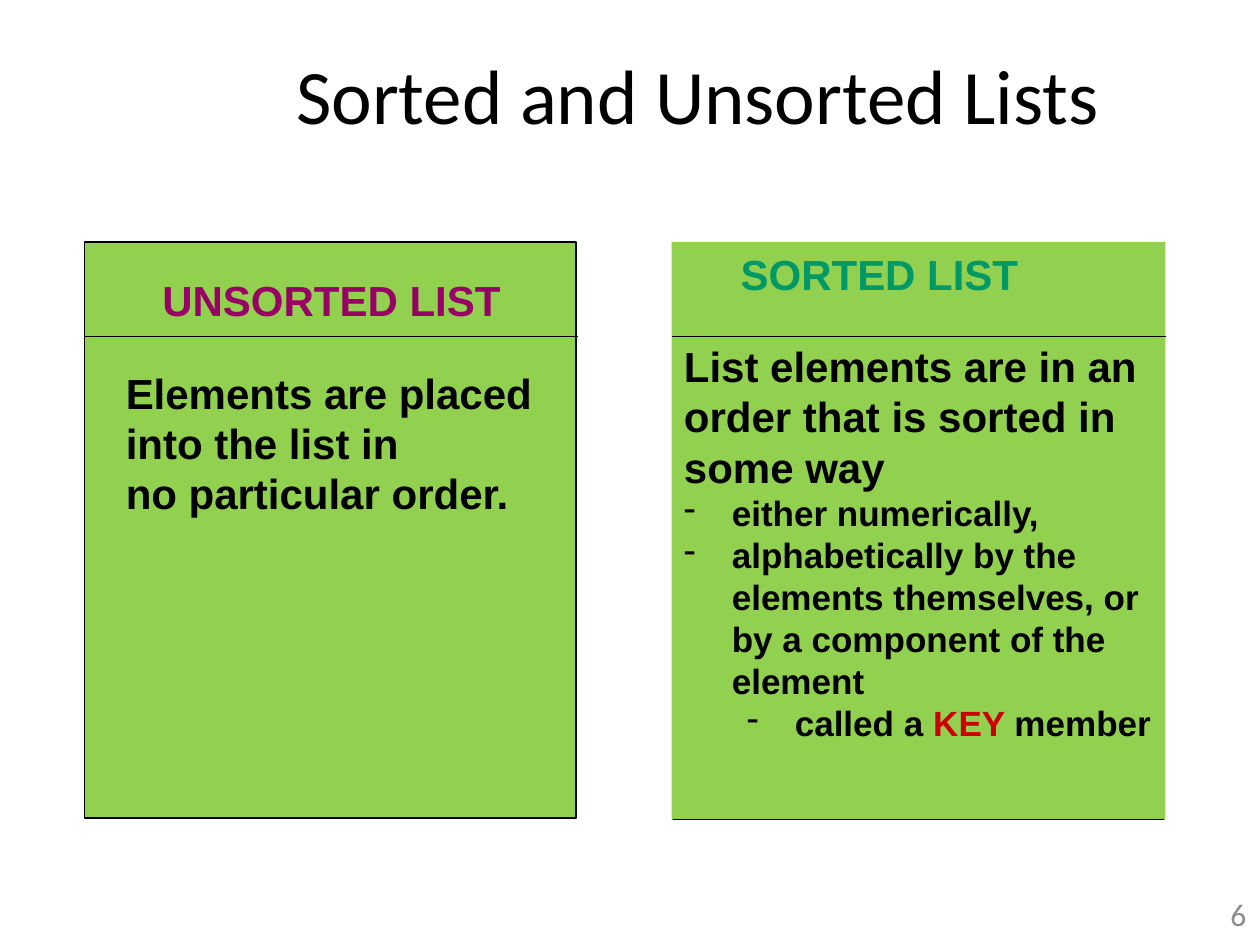
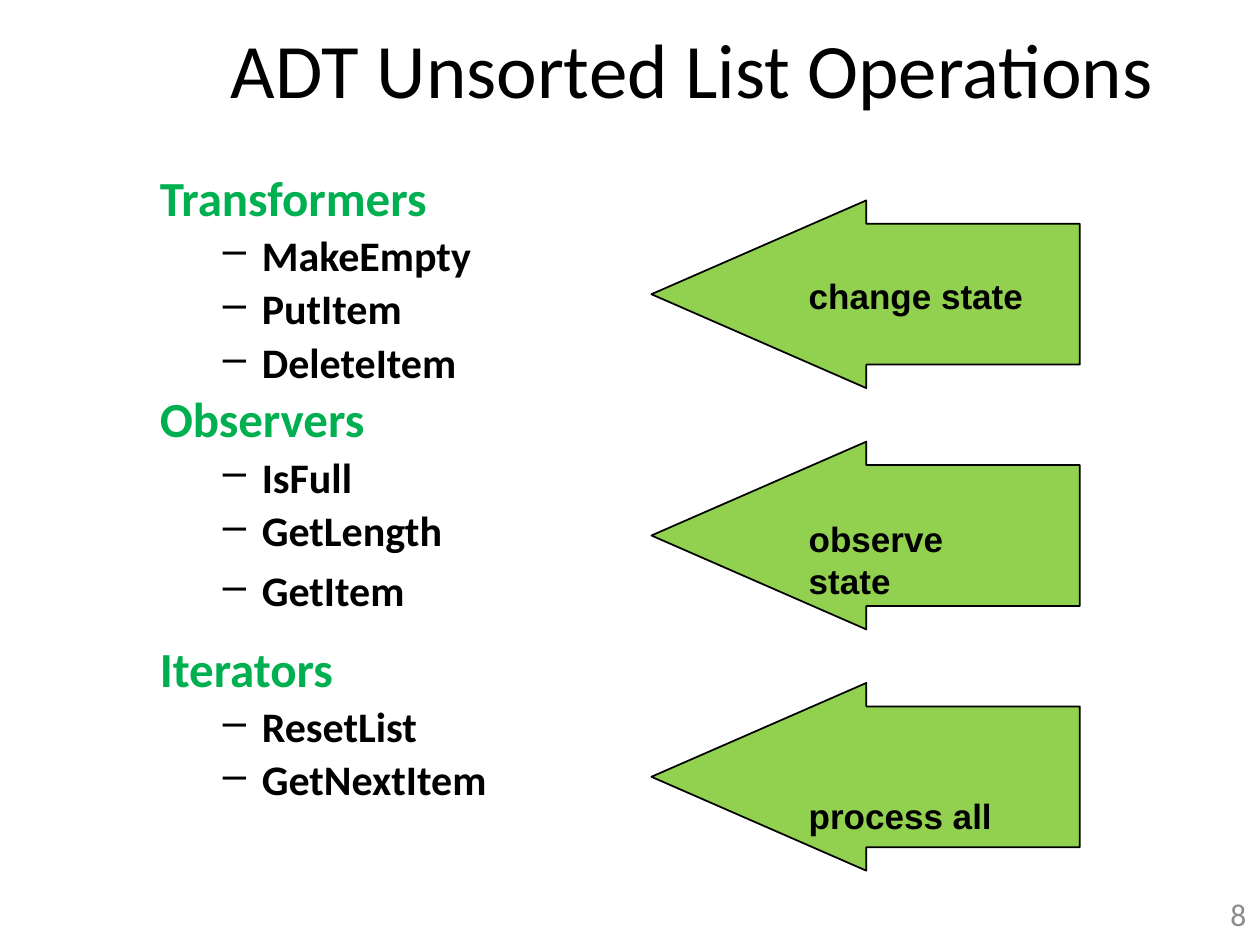
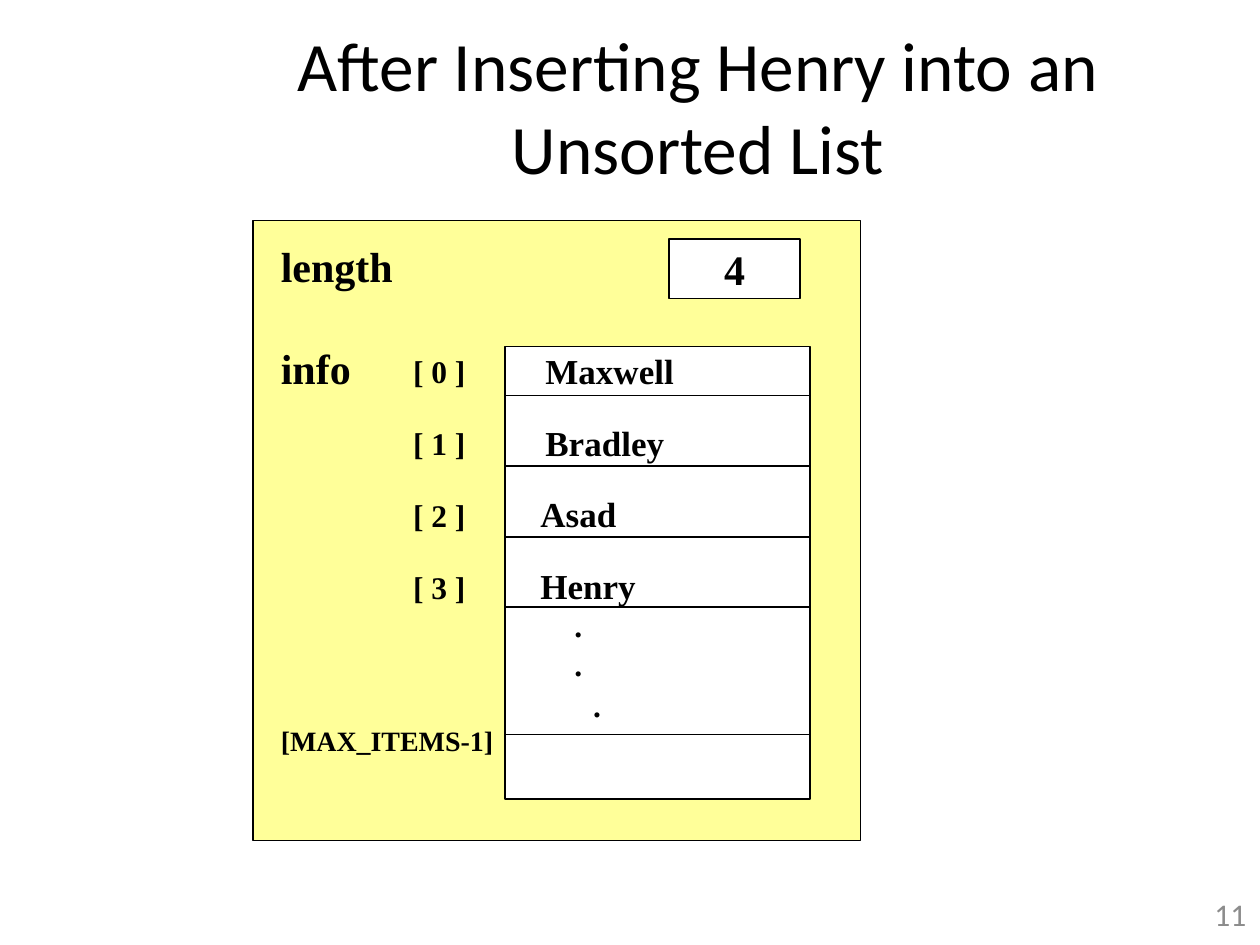
from lxml.etree import SubElement
from pptx import Presentation
from pptx.dml.color import RGBColor
from pptx.enum.shapes import MSO_CONNECTOR, MSO_SHAPE
from pptx.enum.text import MSO_ANCHOR, MSO_AUTO_SIZE, PP_ALIGN
from pptx.oxml.ns import qn
from pptx.util import Inches, Pt

COLOURS = {
    "black": "000000", "white": "FFFFFF", "grey": "8C8C8C",
    "panel": "92D050", "record": "FFFF99", "heading": "00B050",
    "unsorted": "990066", "sorted": "009966", "key": "CC0000",
}


def write(box, lines, font, anchor=MSO_ANCHOR.TOP, wrap=True):
    """Fill a shape with lines, each a list of (text, colour) spans, a size and a layout dict.

    The layout may hold margin, hang and bullet beside paragraph attributes.
    """
    frame = box.text_frame
    frame.word_wrap = wrap
    frame.auto_size = MSO_AUTO_SIZE.NONE
    frame.vertical_anchor = anchor
    for index, (spans, size, layout) in enumerate(lines):
        para = frame.paragraphs[0] if index == 0 else frame.add_paragraph()
        settings = {"alignment": PP_ALIGN.LEFT, **layout}
        margin, hang = settings.pop("margin", 0), settings.pop("hang", 0)
        bullet = settings.pop("bullet", None)
        for name, value in settings.items():
            setattr(para, name, value)
        properties = para._p.get_or_add_pPr()
        properties.set("marL", str(Inches(margin)))
        properties.set("indent", str(Inches(-hang)))
        if bullet:
            SubElement(properties, qn("a:buChar")).set("char", bullet)
        for text, colour in spans:
            span = para.add_run()
            span.text = text
            for name, value in {"size": Pt(size), **font}.items():
                setattr(span.font, name, value)
            span.font.color.rgb = RGBColor.from_string(COLOURS[colour])


def add_box(page, place, fill=None, outline=None, kind=MSO_SHAPE.RECTANGLE):
    """Add a filled shape, or a text box when there is no fill."""
    place = [Inches(length) for length in place]
    if not fill:
        return page.shapes.add_textbox(*place)
    shape = page.shapes.add_shape(kind, *place)
    shape.shadow.inherit = False
    shape.fill.solid()
    shape.fill.fore_color.rgb = RGBColor.from_string(COLOURS[fill])
    if outline:
        shape.line.color.rgb = RGBColor.from_string(COLOURS[outline])
        shape.line.width = Pt(1)
    else:
        shape.line.fill.background()
    return shape


CALIBRI = {"name": "Calibri", "bold": False}
CALIBRI_BOLD = {"name": "Calibri", "bold": True}
ARIAL = {"name": "Arial", "bold": True}
TIMES = {"name": "Times New Roman", "bold": True}
CENTRED = {"alignment": PP_ALIGN.CENTER}

deck = Presentation()
deck.slide_width, deck.slide_height = Inches(10), Inches(7.5)

# Pages with their titles and numbers
pages = []
for title, size, place, number in [
    ("Sorted and Unsorted Lists", 44, (1.5, 0.33, 8.08, 0.83), "6"),
    ("ADT Unsorted List Operations", 44, (1.58, 0.08, 7.83, 0.92), "8"),
    ("After Inserting Henry into an\vUnsorted List", 39.6, (1.5, 0.42, 8.08, 0.83), "11"),
]:
    page = deck.slides.add_slide(deck.slide_layouts[5])
    heading = page.shapes.title
    for name, length in zip(("left", "top", "width", "height"), place):
        setattr(heading, name, Inches(length))
    lines = [([(part, "black")], size, CENTRED) for part in title.split("\v")]
    write(heading, lines, CALIBRI, MSO_ANCHOR.MIDDLE)
    write(add_box(page, (7.91, 7, 2.08, 0.5)),
          [([(number, "grey")], 18, {"alignment": PP_ALIGN.RIGHT})],
          CALIBRI, MSO_ANCHOR.MIDDLE)
    pages.append(page)
lists_page, operations_page, record_page = pages
rules = []

# Unsorted and sorted panels
large = {"line_spacing": Pt(28.8)}
small = {"line_spacing": Pt(24), "hang": 0.38, "bullet": "-"}
after_heading = {**large, "space_before": Pt(24)}
add_box(lists_page, (0.67, 1.92, 3.9, 4.57), "panel", "black")
add_box(lists_page, (5.34, 1.93, 3.9, 4.57), "white", "black")
write(add_box(lists_page, (0.9, 2.13, 3.43, 2.39)), [
    ([("UNSORTED LIST", "unsorted")], 24, {**large, "margin": 0.29}),
    ([("Elements are placed into the list in", "black")], 24, after_heading),
    ([("no particular order.", "black")], 24, large),
], ARIAL)
write(add_box(lists_page, (5.33, 1.92, 3.92, 4.58), "panel"), [
    ([("SORTED LIST", "sorted")], 24, {**large, "margin": 0.45}),
    ([("List elements are in an order that is sorted in", "black")], 24, after_heading),
    ([("some way", "black")], 24, large),
    ([("either numerically,", "black")], 20, {**small, "margin": 0.38}),
    ([("alphabetically by the elements themselves, or by a component of the element",
       "black")], 20, {**small, "margin": 0.38}),
    ([("called a", "black"), (" KEY ", "key"), ("member", "black")], 20,
     {**small, "margin": 0.88}),
], ARIAL)
rules += [(lists_page, left, 2.67, left + 3.92) for left in (0.67, 5.33)]

# Operations by group, with an arrow naming what each group does
groups = {
    "Transformers": ["MakeEmpty", "PutItem", "DeleteItem"],
    "Observers": ["IsFull", "GetLength", "GetItem"],
    "Iterators": ["ResetList", "GetNextItem"],
}
gaps = {"Transformers": 0, "GetItem": 8.5, "Iterators": 16.5}
lines = []
for group, operations in groups.items():
    for name in [group, *operations]:
        layout = {"line_spacing": 0.9, "space_before": Pt(gaps.get(name, 4.7))}
        if name == group:
            lines.append(([(name, "heading")], 28, layout))
        else:
            layout.update(margin=0.81, hang=0.31, bullet="–")
            lines.append(([(name, "black")], 24, layout))
write(add_box(operations_page, (1.17, 1.33, 3.9, 5.33)), lines, CALIBRI_BOLD)

for index, (effect, top) in enumerate(
        [("change state", 2.13), ("observe state", 4.06), ("process all", 6.26)]):
    arrow = add_box(operations_page, (5.17, 1.59 + 1.915 * index, 3.4, 1.49),
                    "panel", "black", MSO_SHAPE.LEFT_ARROW)
    arrow.adjustments[0], arrow.adjustments[1] = 0.75, 1.145
    write(add_box(operations_page, (6.32, top, 1.95, 0.5)),
          [([(effect, "black")], 20, {"line_spacing": Pt(24)})], ARIAL)

# Record with its length and the array of names
add_box(record_page, (2.01, 1.75, 4.82, 4.92), "record", "black")
length_cell = add_box(record_page, (5.31, 1.9, 1.04, 0.47), "white", "black")
write(length_cell, [([("4", "black")], 24, CENTRED)], TIMES, MSO_ANCHOR.MIDDLE)
add_box(record_page, (4.01, 2.75, 2.42, 3.59), "white", "black")
rules += [(record_page, 4.01, y, 6.44) for y in (3.14, 3.7, 4.26, 4.82, 5.83)]

# Each label: text, left edge, baseline, size
labels = [("length", 2.23, 2.21, 24), ("info", 2.23, 3.02, 24),
          ("[MAX_ITEMS-1]", 2.23, 5.94, 16)]
names = [("Maxwell", 4.33), ("Bradley", 4.33), ("Asad", 4.29), ("Henry", 4.29)]
for index, (name, left) in enumerate(names):
    baseline = 3.02 + 0.57 * index
    labels += [(f"[ {index} ]", 3.28, baseline, 18), (name, left, baseline, 20)]
labels += [(".", left, baseline, 18)
           for left, baseline in [(4.56, 5.03), (4.56, 5.34), (4.71, 5.67)]]
for text, left, baseline, size in labels:
    top = baseline - 0.05 - 0.891 * size / 72
    write(add_box(record_page, (left - 0.1, top, 0.2 + 0.13 * len(text), 0.45)),
          [([(text, "black")], size, {})], TIMES, wrap=False)

for page, start, y, end in rules:
    rule = page.shapes.add_connector(
        MSO_CONNECTOR.STRAIGHT, Inches(start), Inches(y), Inches(end), Inches(y))
    rule.line.color.rgb = RGBColor.from_string(COLOURS["black"])
    rule.line.width = Pt(1)
    SubElement(rule._element.spPr, qn("a:effectLst"))

deck.save("out.pptx")
